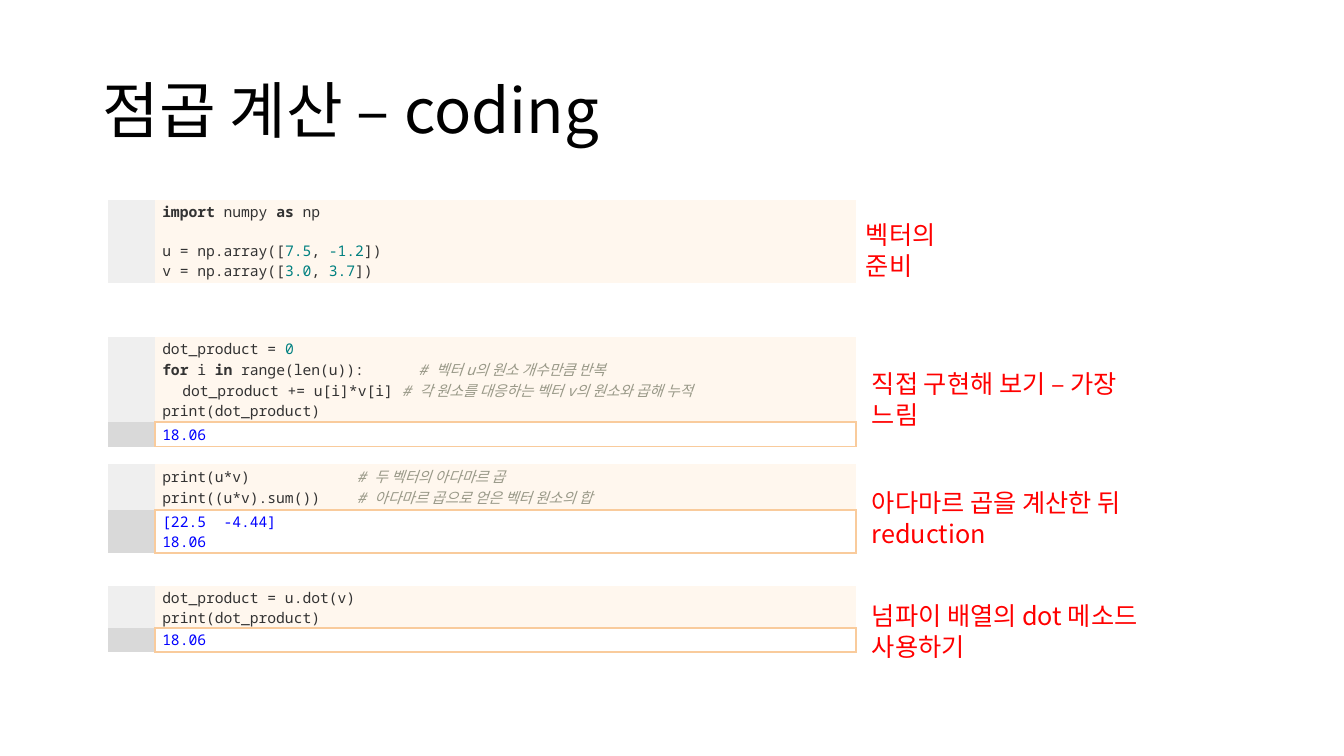
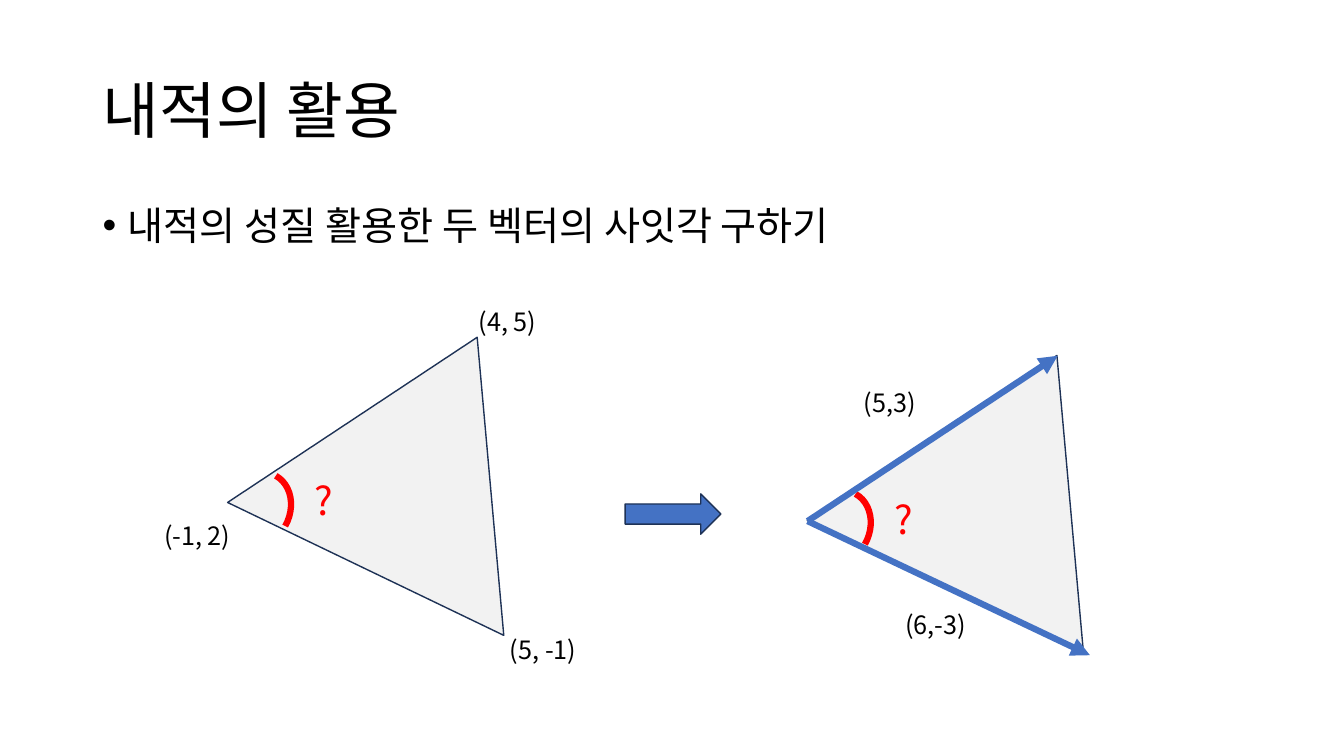
from lxml.etree import SubElement
from pptx import Presentation
from pptx.dml.color import RGBColor
from pptx.enum.shapes import MSO_CONNECTOR, MSO_SHAPE
from pptx.enum.text import MSO_ANCHOR
from pptx.oxml.ns import qn
from pptx.util import Inches, Pt

SANS = "Noto Sans CJK KR"
MONO = "Noto Sans Mono"
BLACK, RED, BLUE = "000000", "FF0000", "4472C4"
OUTLINE, PALE, PEACH = "1E3256", "F2F2F2", "F9CB9C"
CODE_FILL, INPUT_GUTTER, OUTPUT_GUTTER = "FFF7EE", "EFEFEF", "D9D9D9"
NO_STYLE = "{2D5ABB26-0587-4C30-8999-92F81FD0307C}"
CODE_SIZE = 10.5
CODE_LEFT = 1.07
COLUMN_WIDTHS = (0.47, 6.95)
CODE_STYLES = {
    "plain": ("333333", False, False),
    "keyword": ("333333", True, False),
    "number": ("008080", False, False),
    "comment": ("999988", False, True),
    "output": ("0000FF", False, False),
}


def rgb(value):
    return RGBColor.from_string(value)


def add_span(para, text, size, color, font=SANS, bold=False, italic=False):
    span = para.add_run()
    span.text = text
    span.font.name = font
    span.font.size = Pt(size)
    span.font.color.rgb = rgb(color)
    span.font.bold = bold
    span.font.italic = italic
    SubElement(span.font._element, qn("a:ea"), typeface=SANS)


def add_text(page, left, top, width, height, text, size=18, color=BLACK):
    box = page.shapes.add_textbox(Inches(left), Inches(top), Inches(width), Inches(height))
    box.text_frame.word_wrap = True
    add_span(box.text_frame.paragraphs[0], text, size, color)
    return box.text_frame


def add_title(page, text):
    frame = add_text(page, 0.92, 0.4, 11.5, 1.45, text, 44)
    frame.vertical_anchor = MSO_ANCHOR.MIDDLE
    frame.paragraphs[0].line_spacing = 0.9


def add_bullet(page, text):
    para = add_text(page, 0.92, 2, 11.5, 4.76, text, 28).paragraphs[0]
    para.line_spacing = 0.9
    para.space_before = Pt(10)
    properties = para._p.get_or_add_pPr()
    properties.set("marL", str(Inches(0.25)))
    properties.set("indent", str(Inches(-0.25)))
    SubElement(properties, qn("a:buFont"), typeface="Arial")
    SubElement(properties, qn("a:buChar"), char="•")


def add_borders(cell, sides):
    properties = cell._tc.get_or_add_tcPr()
    for side in sides:
        line = SubElement(properties, qn(f"a:ln{side}"), w=str(Pt(1.5)))
        fill = SubElement(line, qn("a:solidFill"))
        SubElement(fill, qn("a:srgbClr"), val=PEACH)


def style_cell(cell, fill, sides=""):
    cell.margin_left = cell.margin_right = Inches(0.07)
    cell.margin_top = cell.margin_bottom = Inches(0.02)
    cell.vertical_anchor = MSO_ANCHOR.MIDDLE
    add_borders(cell, sides)
    if fill:
        cell.fill.solid()
        cell.fill.fore_color.rgb = rgb(fill)
    else:
        cell.fill.background()


def style_gutter(cell, fill, sides=""):
    style_cell(cell, fill, sides)
    SubElement(cell.text_frame.paragraphs[0]._p, qn("a:endParaRPr"), sz=str(int(CODE_SIZE * 100)))


def write_code(cell, lines, tab=None):
    frame = cell.text_frame
    for index, (spans, options) in enumerate(lines):
        para = frame.add_paragraph() if index else frame.paragraphs[0]
        if "gap" in options:
            para.space_before = Pt(options["gap"])
        properties = para._p.get_or_add_pPr()
        if "indent" in options:
            properties.set("marL", str(Inches(options["indent"])))
        if tab:
            stops = SubElement(properties, qn("a:tabLst"))
            SubElement(stops, qn("a:tab"), pos=str(Inches(tab)), algn="l")
        for text, style in spans:
            color, bold, italic = CODE_STYLES[style]
            add_span(para, text, CODE_SIZE, color, MONO, bold, italic)


def code(*spans, **options):
    return [(text, style) for text, style in spans], options


def plain(text):
    return code((text, "plain"))


def add_code_block(page, top, heights, lines, results=(), tab=None):
    frame = page.shapes.add_table(len(heights), 2, Inches(CODE_LEFT), Inches(top),
                                  Inches(sum(COLUMN_WIDTHS)), Inches(sum(heights)))
    table = frame.table
    table.first_row = table.horz_banding = False
    table._tbl.tblPr.find(qn("a:tableStyleId")).text = NO_STYLE
    for column, width in zip(table.columns, COLUMN_WIDTHS):
        column.width = Inches(width)
    for row, height in zip(table.rows, heights):
        row.height = Inches(height)
    style_gutter(table.cell(0, 0), INPUT_GUTTER)
    style_cell(table.cell(0, 1), CODE_FILL, "B" if results else "")
    write_code(table.cell(0, 1), lines, tab)
    if results:
        style_gutter(table.cell(1, 0), OUTPUT_GUTTER, "R")
        style_cell(table.cell(1, 1), None, "LRTB")
        write_code(table.cell(1, 1), [code((text, "output")) for text in results])


def add_shape(page, kind, left, top, width, height, fill, line, weight, rotation=0):
    shape = page.shapes.add_shape(kind, Inches(left), Inches(top), Inches(width), Inches(height))
    shape.shadow.inherit = False
    shape.rotation = rotation
    if fill:
        shape.fill.solid()
        shape.fill.fore_color.rgb = rgb(fill)
    else:
        shape.fill.background()
    shape.line.color.rgb = rgb(line)
    shape.line.width = Pt(weight)


def add_vector(page, start, end):
    points = [Inches(value) for value in (*start, *end)]
    vector = page.shapes.add_connector(MSO_CONNECTOR.STRAIGHT, *points)
    vector.line.color.rgb = rgb(BLUE)
    vector.line.width = Pt(4.5)
    SubElement(vector.line._get_or_add_ln(), qn("a:tailEnd"), type="triangle")
    SubElement(vector._element.spPr, qn("a:effectLst"))


def add_angle_figure(page, left, top):
    add_shape(page, MSO_SHAPE.ISOSCELES_TRIANGLE, left + 0.44, top, 3.04, 2.55,
              PALE, OUTLINE, 1, 25.7)
    add_shape(page, MSO_SHAPE.ARC, left, top + 1.45, 0.65, 0.78, None, RED, 4.5, 29.3)
    add_text(page, left + 0.8, top + 1.46, 0.32, 0.57, "?", 28, RED)


def build_coding_page(page):
    add_title(page, "점곱 계산 – coding")
    add_code_block(page, 1.98, [0.83], [
        code(("import ", "keyword"), ("numpy ", "plain"), ("as", "keyword"), (" np", "plain")),
        code(("u = np.array([", "plain"), ("7.5", "number"), (", ", "plain"),
             ("-1.2", "number"), ("])", "plain"), gap=14),
        code(("v = np.array([", "plain"), ("3.0", "number"), (", ", "plain"),
             ("3.7", "number"), ("])", "plain")),
    ])
    add_code_block(page, 3.34, [0.85, 0.24], [
        code(("dot_product = ", "plain"), ("0", "number")),
        code(("for ", "keyword"), ("i ", "plain"), ("in", "keyword"),
             (" range(len(u)):\t", "plain"), ("# 벡터 u의 원소 개수만큼 반복", "comment")),
        code(("dot_product += u[i]*v[i] ", "plain"),
             ("# 각 원소를 대응하는 벡터 v의 원소와 곱해 누적", "comment"), indent=0.2),
        plain("print(dot_product)"),
    ], ["18.06"], tab=2.54)
    add_code_block(page, 4.6, [0.46, 0.43], [
        code(("print(u*v)\t", "plain"), ("# 두 벡터의 아다마르 곱", "comment")),
        code(("print((u*v).sum())\t", "plain"),
             ("# 아다마르 곱으로 얻은 벡터 원소의 합", "comment")),
    ], ["[22.5  -4.44]", "18.06"], tab=1.93)
    add_code_block(page, 5.81, [0.42, 0.24], [
        plain("dot_product = u.dot(v)"),
        plain("print(dot_product)"),
    ], ["18.06"])
    for left, top, width, text in (
        (8.49, 2.13, 1.38, "벡터의 준비"),
        (8.55, 3.61, 3.13, "직접 구현해 보기 – 가장 느림"),
        (8.55, 4.79, 3.76, "아다마르 곱을 계산한 뒤 reduction"),
        (8.55, 5.91, 3.73, "넘파이 배열의 dot 메소드 사용하기"),
    ):
        add_text(page, left, top, width, 0.4, text, color=RED)


def build_angle_page(page):
    add_title(page, "내적의 활용")
    add_bullet(page, "내적의 성질 활용한 두 벡터의 사잇각 구하기")
    add_angle_figure(page, 2.22, 3.22)
    add_angle_figure(page, 7.97, 3.4)
    for end in ((10.49, 3.53), (10.81, 6.5)):
        add_vector(page, (8.01, 5.17), end)
    for left, top, width, text in (
        (1.53, 5.11, 0.94, "(-1, 2)"),
        (4.96, 6.24, 0.94, "(5, -1)"),
        (4.65, 2.99, 0.79, "(4, 5)"),
        (8.47, 3.79, 0.72, "(5,3)"),
        (8.88, 6, 0.86, "(6,-3)"),
    ):
        add_text(page, left, top, width, 0.4, text)
    add_shape(page, MSO_SHAPE.RIGHT_ARROW, 6.2, 4.9, 0.95, 0.4, BLUE, OUTLINE, 1)


def main():
    deck = Presentation()
    deck.slide_width = Inches(13.33)
    deck.slide_height = Inches(7.5)
    for build in (build_coding_page, build_angle_page):
        build(deck.slides.add_slide(deck.slide_layouts[6]))
    deck.save("out.pptx")


if __name__ == "__main__":
    main()
